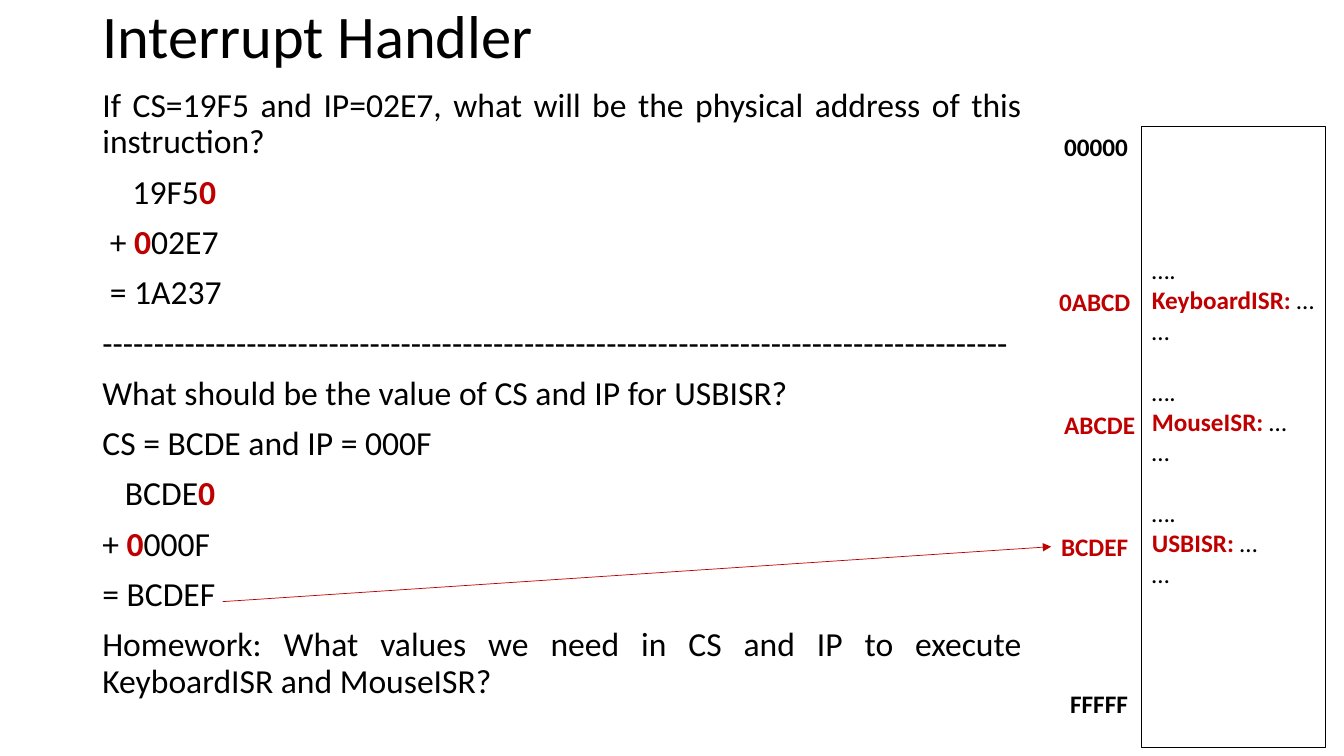
from dataclasses import dataclass
from lxml.etree import SubElement
from pptx import Presentation
from pptx.dml.color import RGBColor
from pptx.enum.shapes import MSO_CONNECTOR, MSO_SHAPE
from pptx.enum.text import MSO_ANCHOR, MSO_AUTO_SIZE, PP_ALIGN
from pptx.oxml.ns import qn
from pptx.util import Cm, Pt


@dataclass(frozen=True)
class Theme:
    """Colours, font and type sizes of the slide."""
    black: RGBColor = RGBColor(0x00, 0x00, 0x00)
    red: RGBColor = RGBColor(0xC0, 0x00, 0x00)
    font: str = "Calibri"
    title: Pt = Pt(43.2)
    body: Pt = Pt(24)
    small: Pt = Pt(18)


THEME = Theme()
PROSE = {"alignment": PP_ALIGN.JUSTIFY, "line_spacing": 0.9, "space_before": Pt(10)}
BODY = [
    (0, "If CS=19F5 and IP=02E7, what will be the physical address of this instruction?"),
    (0.76, "19F5*0*"),
    (0.19, "+ *0*02E7"),
    (0.19, "= 1A237"),
    (0, "-" * 88),
    (0, "What should be the value of CS and IP for USBISR?"),
    (0, "CS = BCDE and IP = 000F"),
    (0.57, "BCDE*0*"),
    (0, "+ *0*000F"),
    (0, "= BCDEF"),
    (0, "Homework: What values we need in CS and IP to execute KeyboardISR and MouseISR?"),
]
LABELS = [
    ("00000", 26.57, 3.18, 2.13, THEME.black),
    ("FFFFF", 26.72, 17.22, 1.98, THEME.black),
    ("0ABCD", 26.44, 7.09, 2.34, THEME.red),
    ("ABCDE", 26.57, 10.19, 2.31, THEME.red),
    ("BCDEF", 26.49, 13.26, 2.24, THEME.red),
]


def apply(item, form):
    """Set each format value on the item."""
    for name, value in form.items():
        setattr(item, name, value)


def write(para, text, size, color=THEME.black, bold=False):
    """Fill a paragraph, with starred parts in bold red."""
    for index, part in enumerate(text.split("*")):
        if part:
            mark = index % 2 == 1
            run = para.add_run()
            run.text = part
            apply(run.font, {"name": THEME.font, "size": size, "bold": bold or mark})
            run.font.color.rgb = THEME.red if mark else color


def add_para(frame):
    """Return the empty first paragraph, or a new one."""
    first = frame.paragraphs[0]
    return frame.add_paragraph() if first.runs else first


def add_box(slide, left, top, width, height, **form):
    """Add a text box with the given frame format."""
    box = slide.shapes.add_textbox(Cm(left), Cm(top), Cm(width), Cm(height))
    apply(box.text_frame, form)
    return box


def add_title(slide):
    """Add the heading."""
    box = add_box(slide, 2.33, 0, 29.21, 1.96, word_wrap=True,
                  vertical_anchor=MSO_ANCHOR.MIDDLE)
    para = box.text_frame.paragraphs[0]
    para.line_spacing = 0.9
    write(para, "Interrupt Handler", THEME.title)


def add_body(slide):
    """Add the questions and sums."""
    frame = add_box(slide, 2.33, 2.11, 23.67, 15.14, word_wrap=True).text_frame
    for indent, text in BODY:
        para = add_para(frame)
        apply(para, PROSE)
        para._p.get_or_add_pPr().set("marL", str(Cm(indent)))
        write(para, text, THEME.body)


def add_memory(slide):
    """Add the memory column with its three routines."""
    rect = slide.shapes.add_shape(MSO_SHAPE.RECTANGLE, Cm(28.78), Cm(3.18), Cm(4.62), Cm(15.65))
    rect.shadow.inherit = False
    rect.fill.background()
    rect.line.color.rgb = THEME.black
    rect.line.width = Pt(0.75)
    frame = rect.text_frame
    apply(frame, {"word_wrap": False, "vertical_anchor": MSO_ANCHOR.TOP, "margin_top": Cm(3.23)})
    for index, name in enumerate(("Keyboard", "Mouse", "USB")):
        for row, text in enumerate(("….", f"*{name}ISR:* …", "…")):
            para = add_para(frame)
            gap = Pt(22) if index and row == 0 else Pt(0)
            apply(para, {"alignment": PP_ALIGN.LEFT, "space_before": gap})
            write(para, text, THEME.small)


def add_label(slide, text, left, top, width, color):
    """Add one memory address."""
    box = add_box(slide, left, top, width, 1.03, word_wrap=False,
                  auto_size=MSO_AUTO_SIZE.SHAPE_TO_FIT_TEXT)
    write(box.text_frame.paragraphs[0], text, THEME.small, color, True)
    return box


def add_arrow(slide, left, top, goal):
    """Draw an arrow from a point to the left side of the goal."""
    line = slide.shapes.add_connector(MSO_CONNECTOR.STRAIGHT, Cm(left), Cm(top), Cm(left), Cm(top))
    line.end_connect(goal, 1)
    line.line.color.rgb = THEME.red
    line.line.width = Pt(0.5)
    SubElement(line.line._get_or_add_ln(), qn("a:tailEnd"), type="triangle")
    SubElement(line._element.spPr, qn("a:effectLst"))


def main():
    """Build and save the slide."""
    deck = Presentation()
    apply(deck, {"slide_width": Cm(33.87), "slide_height": Cm(19.05)})
    slide = deck.slides.add_slide(deck.slide_layouts[6])
    add_title(slide)
    add_body(slide)
    add_memory(slide)
    boxes = {label[0]: add_label(slide, *label) for label in LABELS}
    add_arrow(slide, 5.61, 15.16, boxes["BCDEF"])
    deck.save("out.pptx")


if __name__ == "__main__":
    main()
